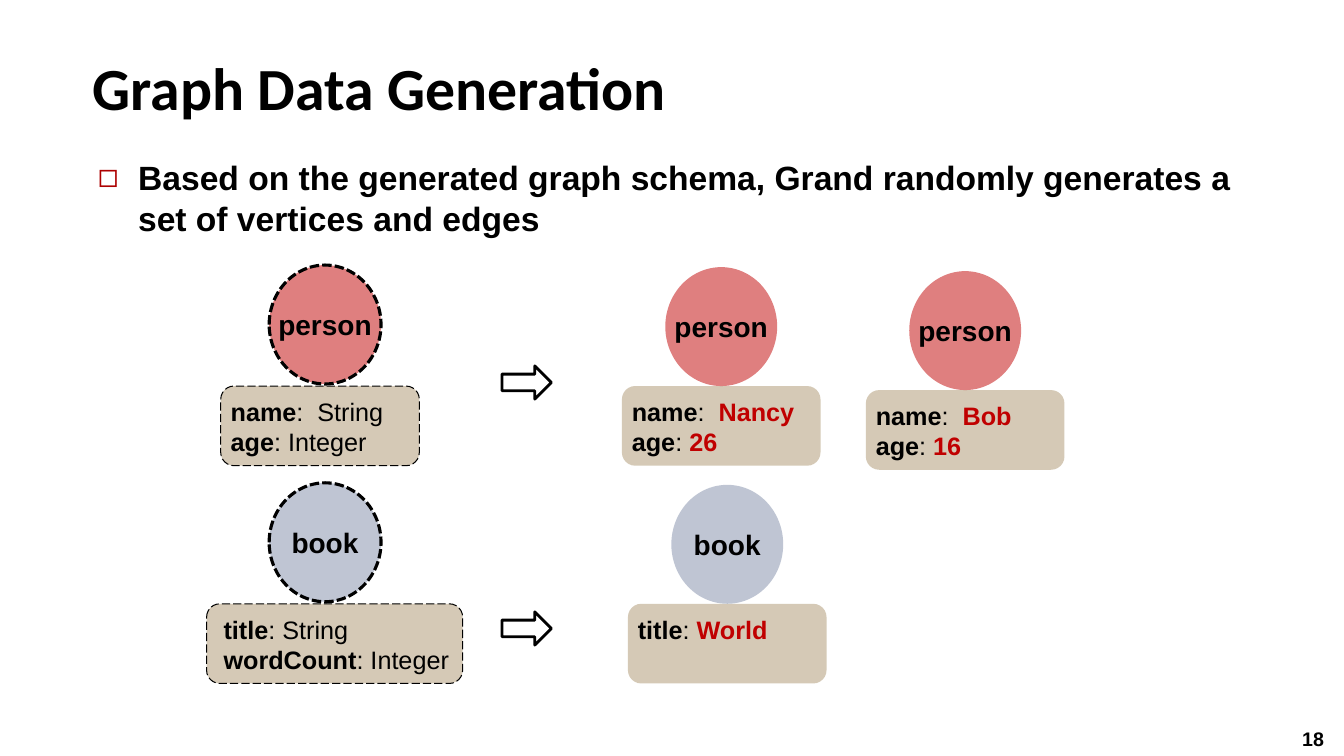
"""Builds the Graph Data Generation slide."""
from lxml.etree import SubElement
from pptx import Presentation
from pptx.dml.color import RGBColor
from pptx.enum.dml import MSO_LINE
from pptx.enum.shapes import MSO_SHAPE
from pptx.enum.text import MSO_ANCHOR, MSO_AUTO_SIZE, PP_ALIGN
from pptx.oxml.ns import qn
from pptx.util import Inches, Pt

HUES = {"ink": "000000", "red": "C00000", "blue": "808DA9",
        "tan": "AC956E", "mark": "AD0101", "white": "FFFFFF"}
CELL = 0.1


class Deck:
    """Holds the style and the current slide; lengths are grid cells."""

    def __init__(self, wide, high):
        self.prs = Presentation()
        self.prs.slide_width = self.span(wide)
        self.prs.slide_height = self.span(high)
        self.slide = self.prs.slides.add_slide(self.prs.slide_layouts[1])

    def span(self, cells):
        return Inches(cells * CELL)

    def hue(self, name):
        return RGBColor.from_string(HUES[name])

    def place(self, shape, box):
        shape.left, shape.top, shape.width, shape.height = map(self.span, box)

    def add_text(self, par, text, size, bold=True, hue="ink", face="Arial"):
        run = par.add_run()
        run.text = text
        run.font.size = Pt(size)
        run.font.bold = bold
        run.font.name = face
        run.font.color.rgb = self.hue(hue)

    def title(self, text, box):
        shape = self.slide.shapes.title
        self.place(shape, box)
        frame = shape.text_frame
        frame.auto_size = MSO_AUTO_SIZE.NONE
        frame.vertical_anchor = MSO_ANCHOR.BOTTOM
        par = frame.paragraphs[0]
        par.alignment = PP_ALIGN.LEFT
        par.line_spacing = Pt(46.7)
        self.add_text(par, text, 42.7, face="Calibri")

    def body(self, text, box):
        shape = self.slide.placeholders[1]
        self.place(shape, box)
        frame = shape.text_frame
        frame.auto_size = MSO_AUTO_SIZE.NONE
        par = frame.paragraphs[0]
        par.space_before = Pt(0)
        props = par._p.get_or_add_pPr()
        props.set("marL", str(self.span(4)))
        props.set("indent", str(-self.span(4)))
        tint = SubElement(props, qn("a:buClr"))
        SubElement(tint, qn("a:srgbClr"), val=HUES["mark"])
        SubElement(props, qn("a:buFont"), typeface="Arial")
        SubElement(props, qn("a:buChar"), char="◻")
        self.add_text(par, text, 24)

    def shape(self, home, kind, box, fill, line=None, dash=None, clear=True):
        shape = home.add_shape(kind, *map(self.span, box))
        shape.shadow.inherit = False
        shape.fill.solid()
        shape.fill.fore_color.rgb = self.hue(fill)
        if clear:
            tint = shape._element.spPr.find(".//" + qn("a:srgbClr"))
            SubElement(tint, qn("a:alpha"), val="50000")
        if line:
            shape.line.color.rgb = self.hue("ink")
            shape.line.width = Pt(line)
            shape.line.dash_style = dash
        else:
            shape.line.fill.background()
        return shape

    def label(self, home, box, rows, size):
        frame = home.add_textbox(*map(self.span, box)).text_frame
        frame.word_wrap = True
        for i, row in enumerate(rows):
            par = frame.add_paragraph() if i else frame.paragraphs[0]
            for text, bold, hue in row:
                self.add_text(par, text, size, bold, hue)

    def disc(self, home, name, left, top, fill, dash):
        shape = self.shape(home, MSO_SHAPE.OVAL, (left, top, 11.1, 11.8), fill,
                           2.25 if dash else None,
                           MSO_LINE.SQUARE_DOT if dash else None)
        frame = shape.text_frame
        frame.word_wrap = False
        frame.vertical_anchor = MSO_ANCHOR.MIDDLE
        par = frame.paragraphs[0]
        par.alignment = PP_ALIGN.CENTER
        self.add_text(par, name, 20)

    def node(self, name, fill, left, top, disc, pairs, dash=False,
             wide=19.7, inset=0):
        home = self.slide.shapes.add_group_shape().shapes
        self.shape(home, MSO_SHAPE.ROUNDED_RECTANGLE, (left, top, wide, 7.9),
                   "tan", 0.75 if dash else None,
                   MSO_LINE.LONG_DASH if dash else None)
        rows = [[(key, True, "ink"), (gap, False, "ink"),
                 (value, not dash, "ink" if dash else "red")]
                for key, gap, value in pairs]
        self.label(home, (left + inset, top + 0.5, wide - inset, 7.1), rows, 18)
        self.disc(home, name, disc, top - (12 if dash else 11.8), fill, dash)

    def arrow(self, left, top):
        self.shape(self.slide.shapes, MSO_SHAPE.RIGHT_ARROW,
                   (left, top, 4.9, 3.3), "white", 2, clear=False)

    def save(self):
        self.prs.save("out.pptx")


def main():
    deck = Deck(133.33, 75)
    deck.title("Graph Data Generation", (8.2, 3.4, 120, 9.3))
    deck.body("Based on the generated graph schema, Grand randomly generates "
              "a set of vertices and edges", (8.7, 15.1, 116.5, 9.1))
    deck.node("person", "red", 21.9, 38.3, 26.7,
              [("name", ":  ", "String"), ("age", ": ", "Integer")], dash=True)
    deck.node("person", "red", 61.7, 38.3, 66,
              [("name", ":  ", "Nancy"), ("age", ": ", "26")])
    deck.node("person", "red", 85.9, 38.7, 90.2,
              [("name", ":  ", "Bob"), ("age", ": ", "16")])
    deck.node("book", "blue", 20.5, 59.9, 26.7,
              [("title", ": ", "String"), ("wordCount", ": ", "Integer")],
              dash=True, wide=25.4, inset=0.7)
    deck.node("book", "blue", 62.3, 59.9, 66.6, [("title", ": ", "World")])
    for top in (36.3, 60.7):
        deck.arrow(49.8, top)
    deck.label(deck.slide.shapes, (128.2, 71.6, 4.8, 3.4),
               [[("18", True, "ink")]], 14)
    deck.save()


if __name__ == "__main__":
    main()
